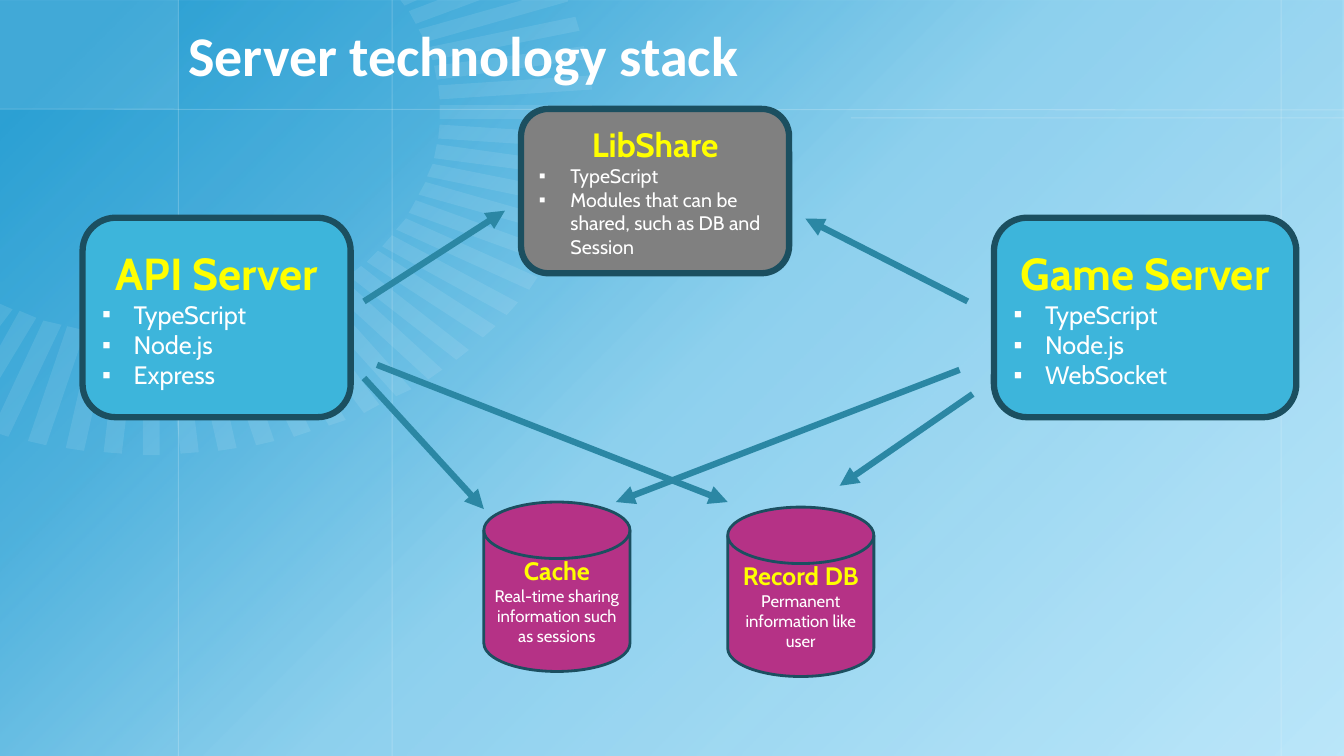
from math import cos, radians, sin
from lxml import etree
from pptx import Presentation
from pptx.dml.color import RGBColor
from pptx.enum.shapes import MSO_CONNECTOR, MSO_SHAPE
from pptx.enum.text import MSO_ANCHOR, PP_ALIGN
from pptx.oxml import parse_xml
from pptx.oxml.ns import qn
from pptx.util import Pt

RECT, ROUNDED = MSO_SHAPE.RECTANGLE, MSO_SHAPE.ROUNDED_RECTANGLE
DISK = MSO_SHAPE.FLOWCHART_MAGNETIC_DISK
STRAIGHT, MIDDLE = MSO_CONNECTOR.STRAIGHT, MSO_ANCHOR.MIDDLE
LEFT, CENTER = PP_ALIGN.LEFT, PP_ALIGN.CENTER
NS = "http://schemas.openxmlformats.org/drawingml/2006/main"
WIDTH, HEIGHT = 960, 540

COLORS = {
    "sky": "BCE7FA", "deep": "0F92CC", "ray": "F2FAFE", "white": "FFFFFF",
    "heading": "FFFF00", "server": "3DB5DB", "library": "808080",
    "store": "B53286", "border": "1B4F60", "arrow": "2B87A4",
}
TITLE = "Server technology stack"
SERVER = {"shape": ROUNDED, "fill": "server", "border": 4.5, "sizes": (32, 18), "bullets": True}
LIBRARY = {"shape": ROUNDED, "fill": "library", "border": 4.5, "sizes": (24, 14), "bullets": True}
STORE = {"shape": DISK, "fill": "store", "border": 2, "sizes": (18, 12), "bullets": False}
COMPONENTS = [
    ("API Server", ["TypeScript", "Node.js", "Express"], SERVER, (59, 155.5, 191.5, 142.5)),
    ("Game Server", ["TypeScript", "Node.js", "WebSocket"], SERVER, (710, 155.5, 216, 142.5)),
    ("LibShare", ["TypeScript", "Modules that can be shared, such as DB and Session"],
     LIBRARY, (372.2, 77.8, 191.5, 117.4)),
    ("Cache", ["Real-time sharing information such as sessions"], STORE, (345.6, 358.6, 104.4, 121)),
    ("Record DB", ["Permanent information like user"], STORE, (519.8, 362.2, 104.4, 121)),
]
ARROWS = [
    (260, 215.3, 360.7, 150.5), (691.2, 215.3, 575.3, 156.2),
    (260, 270, 345.6, 363.6), (269.3, 260.6, 519.8, 358.6),
    (694.8, 281.5, 599.8, 347), (685.4, 264.2, 440, 358.6),
]
GUIDES = [(x, 0, x, HEIGHT) for x in (127.4, 915.1, 280.1)]
GUIDES += [(0, 78, WIDTH, 78.5), (607.7, 84.2, WIDTH, 84.2)]
GRADIENT = [(6, 83), (26, 63), (50, 27), (100, 0)]
SUN = {"x": 108, "y": 80, "rx": 206, "ry": 160, "reach": 1.53, "half": 0.0315}
EDGE_RAYS = [
    [(286, 0), (298, 0), (289.4, 4.3)],
    [(313.2, 0), (343.4, 0), (297.4, 16.6), (291.6, 7.9)],
    [(14.4, 222.5), (25.9, 226.8), (0, 270), (0, 247)],
    [(0, 216.7), (9.4, 221), (0, 233.3)],
]


def rgb(name):
    return RGBColor.from_string(COLORS[name])


def apply(target, formats):
    for key, value in formats.items():
        setattr(target, key, value)


def fade(item, percent):
    for color in item._element.spPr.iter(qn("a:srgbClr")):
        etree.SubElement(color, qn("a:alpha"), val=str(percent * 1000))


def paint(shape, fill, border=None):
    shape.shadow.inherit = False
    shape.fill.solid()
    shape.fill.fore_color.rgb = rgb(fill)
    if border:
        shape.line.color.rgb = rgb("border")
        shape.line.width = Pt(border)
    else:
        shape.line.fill.background()
    return shape


def add_box(kind, box):
    return slide.shapes.add_shape(kind, *map(Pt, box))


def add_line(ends, color, width):
    line = slide.shapes.add_connector(STRAIGHT, *map(Pt, ends))
    line.line.color.rgb = rgb(color)
    line.line.width = Pt(width)
    etree.SubElement(line._element.spPr, qn("a:effectLst"))
    return line


def write(paragraph, text, align, font):
    run = paragraph.add_run()
    run.text = text
    paragraph.alignment = align
    run.font.color.rgb = rgb(font.pop("color"))
    apply(run.font, font)


def add_bullet(paragraph):
    properties = paragraph._p.get_or_add_pPr()
    properties.set("marL", str(Pt(22.5)))
    properties.set("indent", str(-Pt(22.5)))
    etree.SubElement(properties, qn("a:buFont"), typeface="Arial")
    etree.SubElement(properties, qn("a:buChar"), char="▪")


def ray_points(degrees):
    c, s = cos(radians(degrees)), sin(radians(degrees))
    corners = [(1, -1), (SUN["reach"], -1), (SUN["reach"], 1), (1, 1)]
    return [(SUN["x"] + SUN["rx"] * (r * c - side * SUN["half"] * s),
             SUN["y"] + SUN["ry"] * (r * s + side * SUN["half"] * c))
            for r, side in corners]


deck = Presentation()
apply(deck, {"slide_width": Pt(WIDTH), "slide_height": Pt(HEIGHT)})
slide = deck.slides.add_slide(deck.slide_layouts[6])
slide.background.fill.solid()
slide.background.fill.fore_color.rgb = rgb("sky")

glow = paint(add_box(RECT, (0, 0, WIDTH, HEIGHT)), "deep")
stops = "".join(
    f'<a:gs pos="{at * 1000}"><a:srgbClr val="{COLORS["deep"]}">'
    f'<a:alpha val="{alpha * 1000}"/></a:srgbClr></a:gs>' for at, alpha in GRADIENT)
glow_properties = glow._element.spPr
glow_properties.replace(glow_properties.find(qn("a:solidFill")), parse_xml(
    f'<a:gradFill xmlns:a="{NS}" rotWithShape="1"><a:gsLst>{stops}</a:gsLst>'
    '<a:lin ang="2700000" scaled="0"/></a:gradFill>'))

fade(paint(add_box(RECT, (0, 0, 127.4, 78)), "white"), 10)
for guide in GUIDES:
    fade(add_line(guide, "white", 0.75), 20)

for points in [ray_points(degrees) for degrees in range(-20, 111, 5)] + EDGE_RAYS:
    builder = slide.shapes.build_freeform(*points[0], scale=Pt(1))
    builder.add_line_segments(points[1:], close=True)
    fade(paint(builder.convert_to_shape(), "ray"), 10)

title = slide.shapes.add_textbox(*map(Pt, (127.4, 0, 784, 78))).text_frame
apply(title, {"word_wrap": True, "vertical_anchor": MIDDLE})
write(title.paragraphs[0], TITLE, LEFT,
      {"name": "Calibri", "size": Pt(40), "bold": True, "color": "white"})

for heading, details, style, box in COMPONENTS:
    component = paint(add_box(style["shape"], box), style["fill"], style["border"])
    frame = component.text_frame
    apply(frame, {"word_wrap": True, "vertical_anchor": MIDDLE})
    heading_size, detail_size = style["sizes"]
    write(frame.paragraphs[0], heading, CENTER,
          {"name": "Cabin", "size": Pt(heading_size), "bold": True, "color": "heading"})
    for detail in details:
        paragraph = frame.add_paragraph()
        write(paragraph, detail, LEFT if style["bullets"] else CENTER,
              {"name": "Cabin", "size": Pt(detail_size), "bold": False, "color": "white"})
        if style["bullets"]:
            add_bullet(paragraph)

for ends in ARROWS:
    arrow = add_line(ends, "arrow", 4.5)
    etree.SubElement(arrow.line._get_or_add_ln(), qn("a:tailEnd"), type="triangle")

deck.save("out.pptx")
